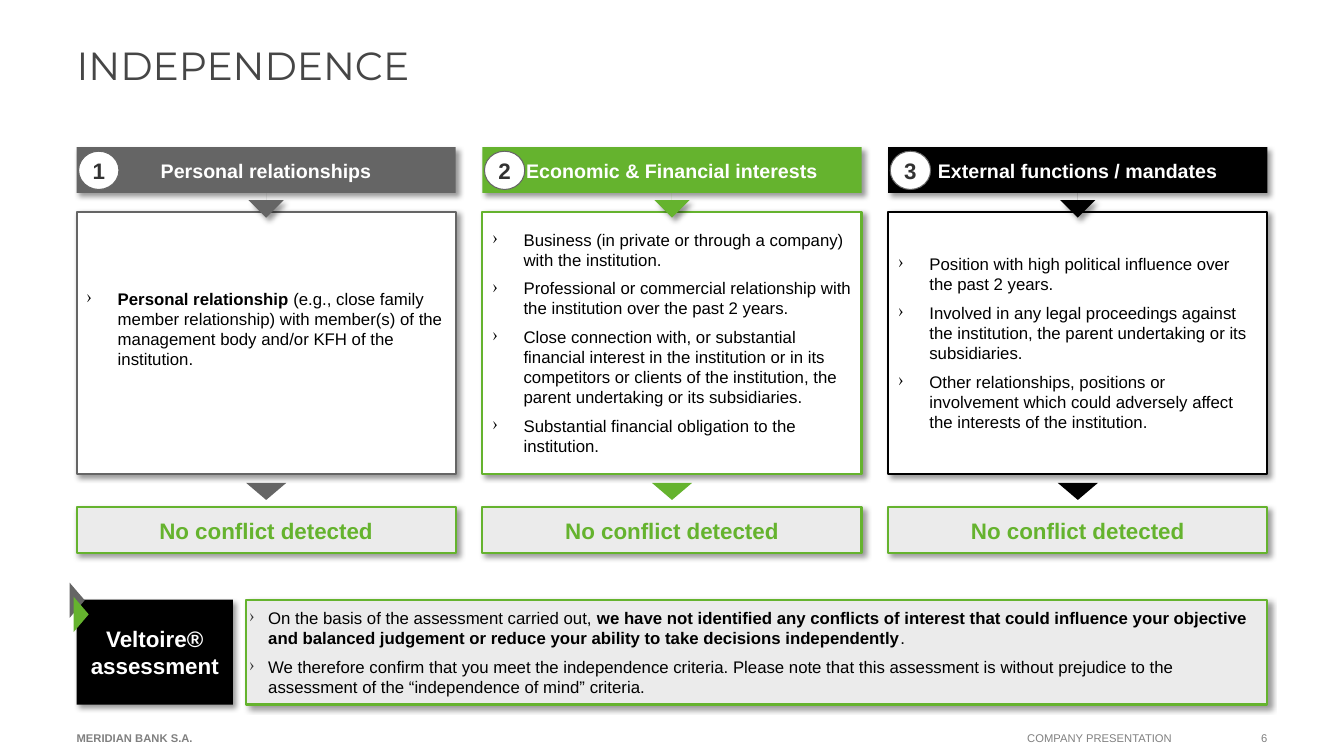
"""Build the independence assessment slide."""
from dataclasses import dataclass

from lxml.etree import SubElement
from pptx import Presentation
from pptx.dml.color import RGBColor
from pptx.enum.shapes import MSO_SHAPE as Shape
from pptx.enum.text import MSO_ANCHOR as Anchor, PP_ALIGN as Align
from pptx.oxml.ns import qn
from pptx.util import Inches, Pt


@dataclass(frozen=True)
class Theme:
    font: str = "Arial"
    title_font: str = "Montserrat"
    grey: str = "656565"
    green: str = "65B32E"
    black: str = "000000"
    white: str = "FFFFFF"
    panel: str = "EBEBEB"
    dark: str = "323232"
    title: str = "464646"
    footer: str = "808080"
    title_size: int = 28
    label_size: int = 16
    header_size: int = 14
    body_size: int = 12
    footer_size: int = 8


THEME = Theme()
INSETS = (0.1, 0.05, 0.1, 0.05)
THIN_INSETS = (0.03,) * 4
COLUMN_LEFT, COLUMN_STEP, COLUMN_WIDTH = 0.76, 4.025, 3.76
COLUMNS = [
    ("Personal relationships", THEME.grey, [
        [("Personal relationship ", True),
         ("(e.g., close family member relationship) with member(s) of the "
          "management body and/or KFH of the institution.", False)],
    ], (0.1, 0.05, 0.1, 0.32)),
    ("Economic & Financial interests", THEME.green, [
        [("Business (in private or through a company) with the institution.", False)],
        [("Professional or commercial relationship with the institution over "
          "the past 2 years.", False)],
        [("Close connection with, or substantial financial interest in the "
          "institution or in its competitors or clients of the institution, the "
          "parent undertaking or its subsidiaries.", False)],
        [("Substantial financial obligation to the institution.", False)],
    ], INSETS),
    ("External functions / mandates", THEME.black, [
        [("Position with high political influence over the past 2 years.", False)],
        [("Involved in any legal proceedings against the institution, the parent "
          "undertaking or its subsidiaries.", False)],
        [("Other relationships, positions or involvement which could adversely "
          "affect the interests of the institution.", False)],
    ], INSETS),
]
CONCLUSIONS = [
    [("On the basis of the assessment carried out, ", False),
     ("we have not identified any conflicts of interest that could influence your "
      "objective and balanced judgement or reduce your ability to take decisions "
      "independently", True),
     (".", False)],
    [("We therefore confirm that you meet the independence criteria. Please note "
      "that this assessment is without prejudice to the assessment of the "
      "“independence of mind” criteria.", False)],
]


def color(value):
    """Turn a hex string into a colour."""
    return RGBColor.from_string(value)


def add_shadow(box):
    """Give a shape the soft shadow of the cards."""
    effects = box._element.spPr.find(qn("a:effectLst"))
    shadow = SubElement(effects, qn("a:outerShdw"), blurRad=str(Pt(4)),
                        dist=str(Pt(3)), dir="2700000", algn="tl", rotWithShape="0")
    tint = SubElement(shadow, qn("a:srgbClr"), val=THEME.black)
    SubElement(tint, qn("a:alpha"), val="40000")


def add_box(page, kind, frame, fill, line=None, width=1.5, shadow=False, rotation=0):
    """Add a filled preset shape."""
    box = page.shapes.add_shape(kind, *map(Inches, frame))
    box.shadow.inherit = False
    box.rotation = rotation
    box.fill.solid()
    box.fill.fore_color.rgb = color(fill)
    if line:
        box.line.color.rgb = color(line)
        box.line.width = Pt(width)
    else:
        box.line.fill.background()
    if shadow:
        add_shadow(box)
    return box


def set_frame(box, insets, anchor=Anchor.MIDDLE):
    """Set wrapping, margins and anchor of a text frame."""
    frame = box.text_frame
    frame.word_wrap = True
    frame.vertical_anchor = anchor
    (frame.margin_left, frame.margin_top,
     frame.margin_right, frame.margin_bottom) = map(Inches, insets)
    return frame


def set_font(para, size, tint, bold=None, name=THEME.font):
    """Set the font of a whole paragraph."""
    para.font.name, para.font.size, para.font.bold = name, Pt(size), bold
    para.font.color.rgb = color(tint)


def write_label(box, text, size, tint, bold=True, align=Align.CENTER,
                insets=INSETS, anchor=Anchor.MIDDLE, name=THEME.font):
    """Write one paragraph in one style."""
    para = set_frame(box, insets, anchor).paragraphs[0]
    para.text = text
    para.alignment = align
    set_font(para, size, tint, bold, name)
    return para


def write_bullets(box, items, indent, bullet_tint, insets):
    """Write bulleted paragraphs made of plain and bold runs."""
    frame = set_frame(box, insets)
    for index, runs in enumerate(items):
        para = frame.add_paragraph() if index else frame.paragraphs[0]
        para.alignment = Align.LEFT
        para.space_after = Pt(3)
        if index:
            para.space_before = Pt(3)
        properties = para._p.get_or_add_pPr()
        properties.set("marL", str(Inches(indent)))
        properties.set("indent", str(-Inches(indent)))
        bullet_color = SubElement(properties, qn("a:buClr"))
        SubElement(bullet_color, qn("a:srgbClr"), val=bullet_tint)
        SubElement(properties, qn("a:buChar"), char="›")
        set_font(para, THEME.body_size, THEME.black)
        for text, bold in runs:
            span = para.add_run()
            span.text = text
            span.font.bold = bold


def add_text(page, frame, text, size, tint, **style):
    """Add a text box with one paragraph."""
    box = page.shapes.add_textbox(*map(Inches, frame))
    write_label(box, text, size, tint, **style)


def add_column(page, index, heading, tint, items, insets):
    """Add one numbered criterion with its details and result."""
    left = COLUMN_LEFT + index * COLUMN_STEP
    body = add_box(page, Shape.RECTANGLE, (left, 2.1, COLUMN_WIDTH, 2.6),
                   THEME.white, tint, shadow=True)
    write_bullets(body, items, 0.31, THEME.black, insets)
    header = add_box(page, Shape.DOWN_ARROW_CALLOUT, (left, 1.46, COLUMN_WIDTH, 0.7),
                     tint, shadow=True)
    for position, value in enumerate((0, 0.25, 0.25, 0.65)):
        header.adjustments[position] = value
    para = write_label(header, heading, THEME.header_size, THEME.white)
    para.line_spacing = 1.07
    badge = add_box(page, Shape.OVAL, (left + 0.02, 1.5, 0.4, 0.38),
                    THEME.white, THEME.grey, 0.75)
    write_label(badge, str(index + 1), THEME.label_size, THEME.dark, insets=(0,) * 4)
    add_box(page, Shape.ISOSCELES_TRIANGLE, (left + 1.68, 4.79, 0.4, 0.17),
            tint, rotation=180)
    result = add_box(page, Shape.RECTANGLE, (left, 5.03, COLUMN_WIDTH, 0.46),
                     THEME.panel, THEME.green, shadow=True)
    write_label(result, "No conflict detected", THEME.label_size, THEME.green)


def add_assessment(page):
    """Add the concluding assessment row."""
    panel = add_box(page, Shape.RECTANGLE, (2.44, 5.95, 10.13, 1.04),
                    THEME.panel, THEME.green, shadow=True)
    write_bullets(panel, CONCLUSIONS, 0.19, THEME.dark, THIN_INSETS)
    label = add_box(page, Shape.RECTANGLE, (COLUMN_LEFT, 5.95, 1.55, 1.04),
                    THEME.black, shadow=True)
    write_label(label, "Veltoire® assessment", THEME.label_size, THEME.white,
                insets=THIN_INSETS)
    for left, top, tint in ((0.59, 5.88, THEME.grey), (0.63, 6.02, THEME.green)):
        add_box(page, Shape.ISOSCELES_TRIANGLE, (left, top, 0.35, 0.15), tint, rotation=90)


def add_footer(page):
    """Add the company name, document name and page number."""
    for left, width, text, bold, align, insets in (
            (0.76, 2.26, "MERIDIAN BANK S.A.", True, Align.LEFT, (0, 0.05, 0.1, 0.05)),
            (10.09, 1.8, "COMPANY PRESENTATION", False, Align.LEFT, INSETS),
            (12.23, 0.34, "6", False, Align.RIGHT, (0, 0.05, 0, 0.05))):
        add_text(page, (left, 7.14, width, 0.36), text, THEME.footer_size,
                 THEME.footer, bold=bold, align=align, insets=insets)


def main():
    """Build and save the deck."""
    deck = Presentation()
    deck.slide_width, deck.slide_height = Inches(13.33), Inches(7.5)
    page = deck.slides.add_slide(deck.slide_layouts[6])
    add_text(page, (0.76, 0.41, 11.81, 0.97), "INDEPENDENCE", THEME.title_size,
             THEME.title, bold=False, align=Align.LEFT, insets=(0,) * 4,
             anchor=Anchor.TOP, name=THEME.title_font)
    for index, column in enumerate(COLUMNS):
        add_column(page, index, *column)
    add_assessment(page)
    add_footer(page)
    deck.save("out.pptx")


if __name__ == "__main__":
    main()
